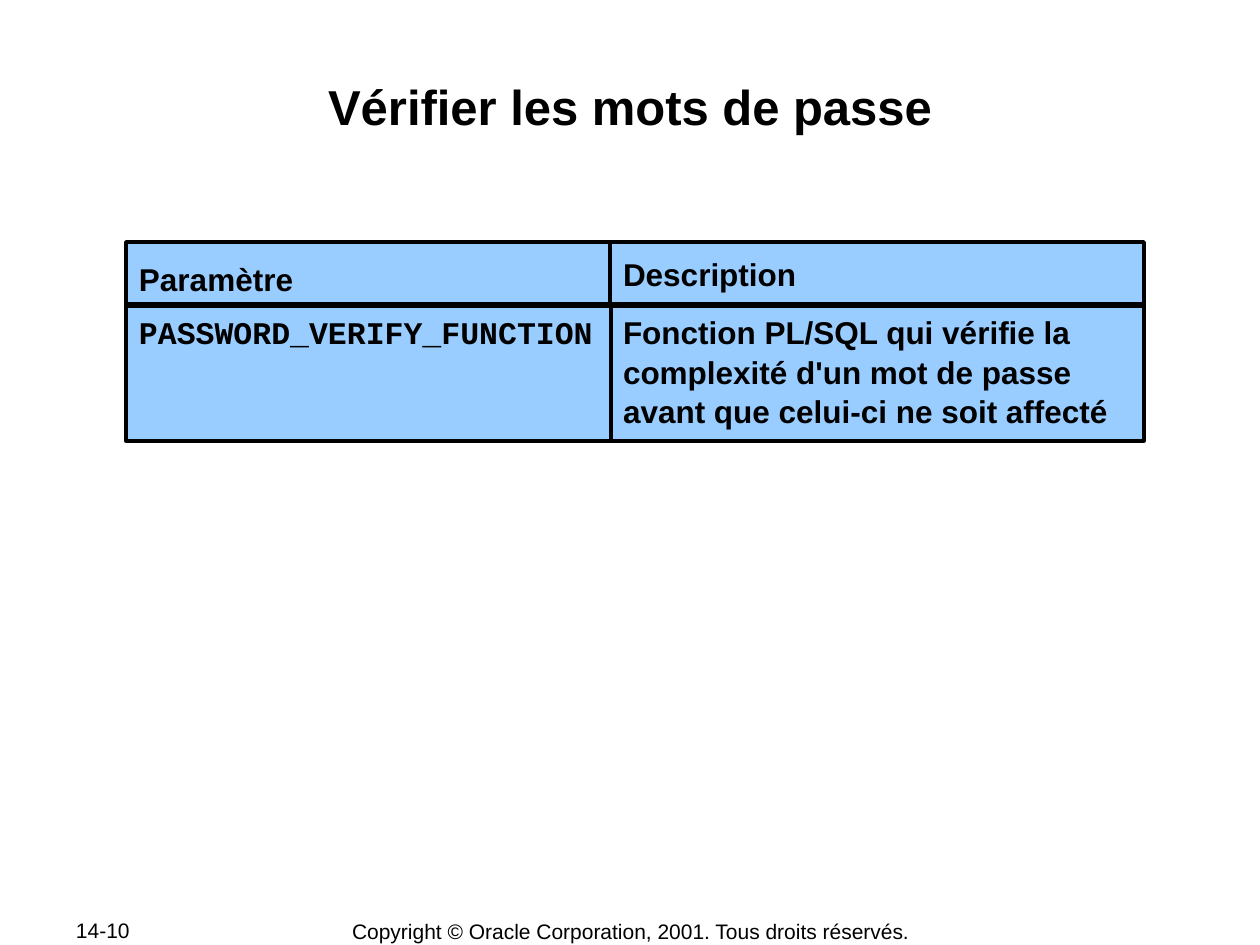
"""Build a slide with a titled two-column parameter grid and a footer."""
from dataclasses import dataclass

from lxml.etree import SubElement
from pptx import Presentation
from pptx.dml.color import RGBColor
from pptx.enum.shapes import MSO_CONNECTOR, MSO_SHAPE
from pptx.enum.text import MSO_ANCHOR, PP_ALIGN
from pptx.oxml.ns import qn
from pptx.slide import Slide
from pptx.text.text import TextFrame
from pptx.util import Emu, Pt

BLACK = RGBColor(0x00, 0x00, 0x00)
BLUE = RGBColor(0x99, 0xCC, 0xFF)
SCALE = 914400 / 126
LEFT, SPLIT, RIGHT = 126, 611, 1145
TOP, RULE, BOTTOM = 242, 305, 441


@dataclass(frozen=True)
class Label:
    text: str
    left: int
    top: int
    width: int
    height: int
    size: int = 12
    bold: bool = False
    align: PP_ALIGN = PP_ALIGN.CENTER
    anchor: MSO_ANCHOR = MSO_ANCHOR.MIDDLE
    wrap: bool = False
    inset: int = 0


@dataclass(frozen=True)
class Cell:
    lines: tuple[str, ...]
    left: int
    top: int
    right: int
    bottom: int
    font: str = "Arial"
    anchor: MSO_ANCHOR = MSO_ANCHOR.TOP


LABELS = (
    Label("14-10", 63, 918, 134, 25, align=PP_ALIGN.LEFT, inset=13),
    Label("Copyright © Oracle Corporation, 2001. Tous droits réservés.",
          348, 918, 566, 26),
    Label("Vérifier les mots de passe", 126, 75, 1008, 119, size=28, bold=True,
          anchor=MSO_ANCHOR.TOP, wrap=True, inset=1),
)
CELLS = (
    Cell(("Paramètre",), LEFT, TOP, SPLIT, RULE + 10, anchor=MSO_ANCHOR.MIDDLE),
    Cell(("Fonction PL/SQL qui vérifie la \vcomplexité d'un mot de passe",
          "avant que celui-ci ne soit affecté"), SPLIT - 1, RULE, RIGHT - 1, BOTTOM),
    Cell(("PASSWORD_VERIFY_FUNCTION",), LEFT, RULE, SPLIT, BOTTOM,
         font="Courier New"),
    Cell(("Description",), SPLIT - 1, TOP, RIGHT - 1, RULE,
         anchor=MSO_ANCHOR.MIDDLE),
)


def px(value: int) -> Emu:
    """Turn pixels into EMU."""
    return Emu(round(value * SCALE))


def write(frame: TextFrame, *lines: str, size: int = 18, bold: bool = True,
          font: str = "Arial", align: PP_ALIGN = PP_ALIGN.LEFT,
          space: float = 1.0) -> None:
    """Fill a text frame with formatted paragraphs."""
    for index, line in enumerate(lines):
        para = frame.add_paragraph() if index else frame.paragraphs[0]
        para.text = line
        para.alignment = align
        para.line_spacing = space
        for run in para.runs:
            run.font.size = Pt(size)
            run.font.bold = bold
            run.font.name = font
            run.font.color.rgb = BLACK


def set_frame(frame: TextFrame, anchor: MSO_ANCHOR, wrap: bool, inset: int) -> None:
    """Set the anchor, wrapping and margins of a text frame."""
    frame.word_wrap = wrap
    frame.vertical_anchor = anchor
    frame.margin_left = frame.margin_right = px(inset)
    frame.margin_top = frame.margin_bottom = px(min(inset, 6))


def add_label(slide: Slide, label: Label) -> None:
    """Draw one text box."""
    box = slide.shapes.add_textbox(px(label.left), px(label.top),
                                   px(label.width), px(label.height))
    set_frame(box.text_frame, label.anchor, label.wrap, label.inset)
    write(box.text_frame, label.text, size=label.size, bold=label.bold,
          align=label.align)


def add_cell(slide: Slide, cell: Cell) -> None:
    """Draw one bordered rectangle with its text."""
    box = slide.shapes.add_shape(
        MSO_SHAPE.RECTANGLE, px(cell.left), px(cell.top),
        px(cell.right - cell.left), px(cell.bottom - cell.top))
    box.shadow.inherit = False
    box.fill.solid()
    box.fill.fore_color.rgb = BLUE
    box.line.color.rgb = BLACK
    box.line.width = Pt(2)
    set_frame(box.text_frame, cell.anchor, True, 13)
    write(box.text_frame, *cell.lines, font=cell.font, space=1.05)


def add_rule(slide: Slide, left: int, right: int, top: int) -> None:
    """Draw the thick line under the header."""
    line = slide.shapes.add_connector(MSO_CONNECTOR.STRAIGHT, px(left), px(top),
                                      px(right), px(top))
    line.line.color.rgb = BLACK
    line.line.width = Pt(3)
    SubElement(line._element.spPr, qn("a:effectLst"))


def main() -> None:
    """Build and save the slide."""
    deck = Presentation()
    deck.slide_width, deck.slide_height = px(1260), px(945)
    slide = deck.slides.add_slide(deck.slide_layouts[6])
    for label in LABELS:
        add_label(slide, label)
    for cell in CELLS:
        add_cell(slide, cell)
    add_rule(slide, LEFT - 1, RIGHT, RULE)
    deck.save("out.pptx")


if __name__ == "__main__":
    main()
